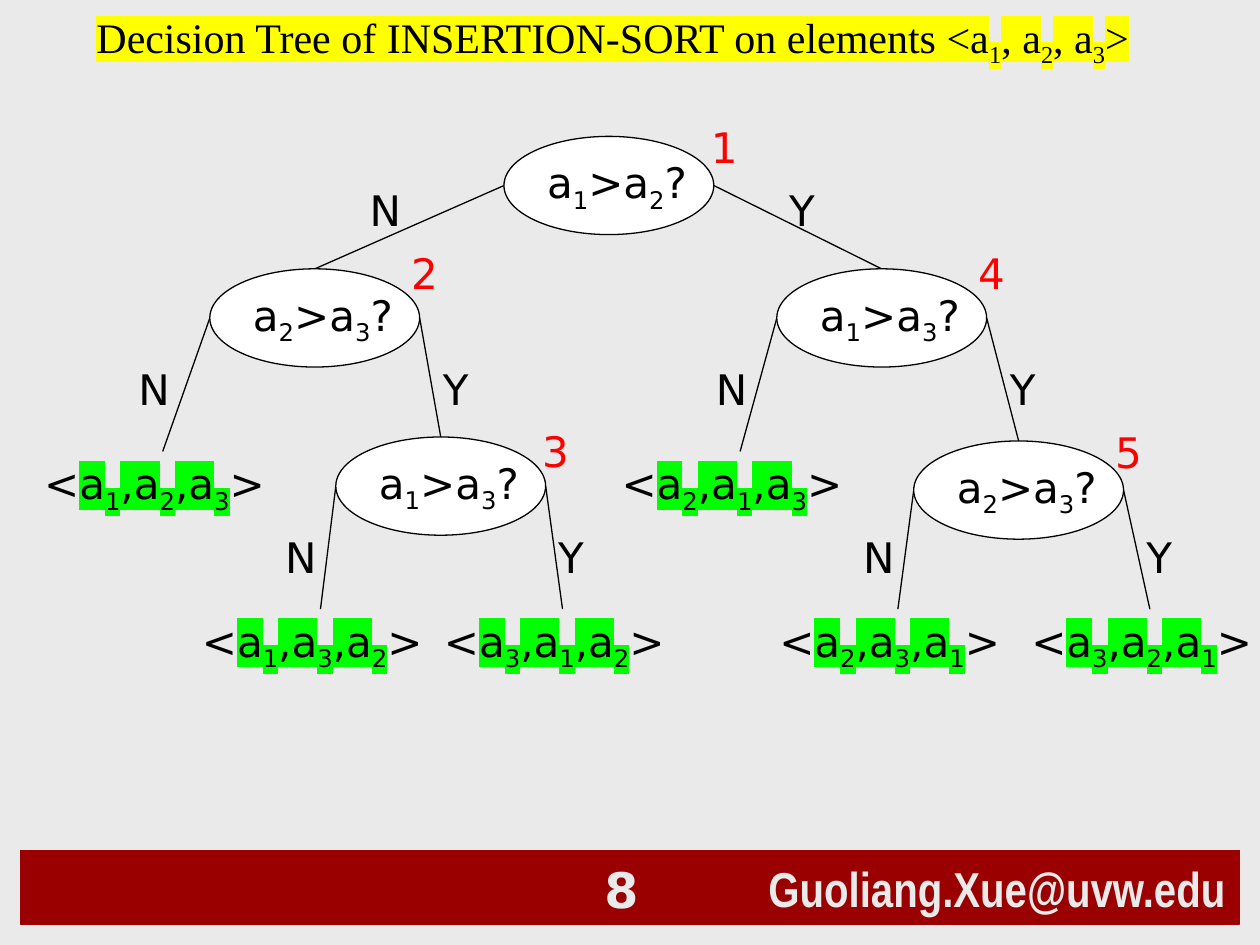
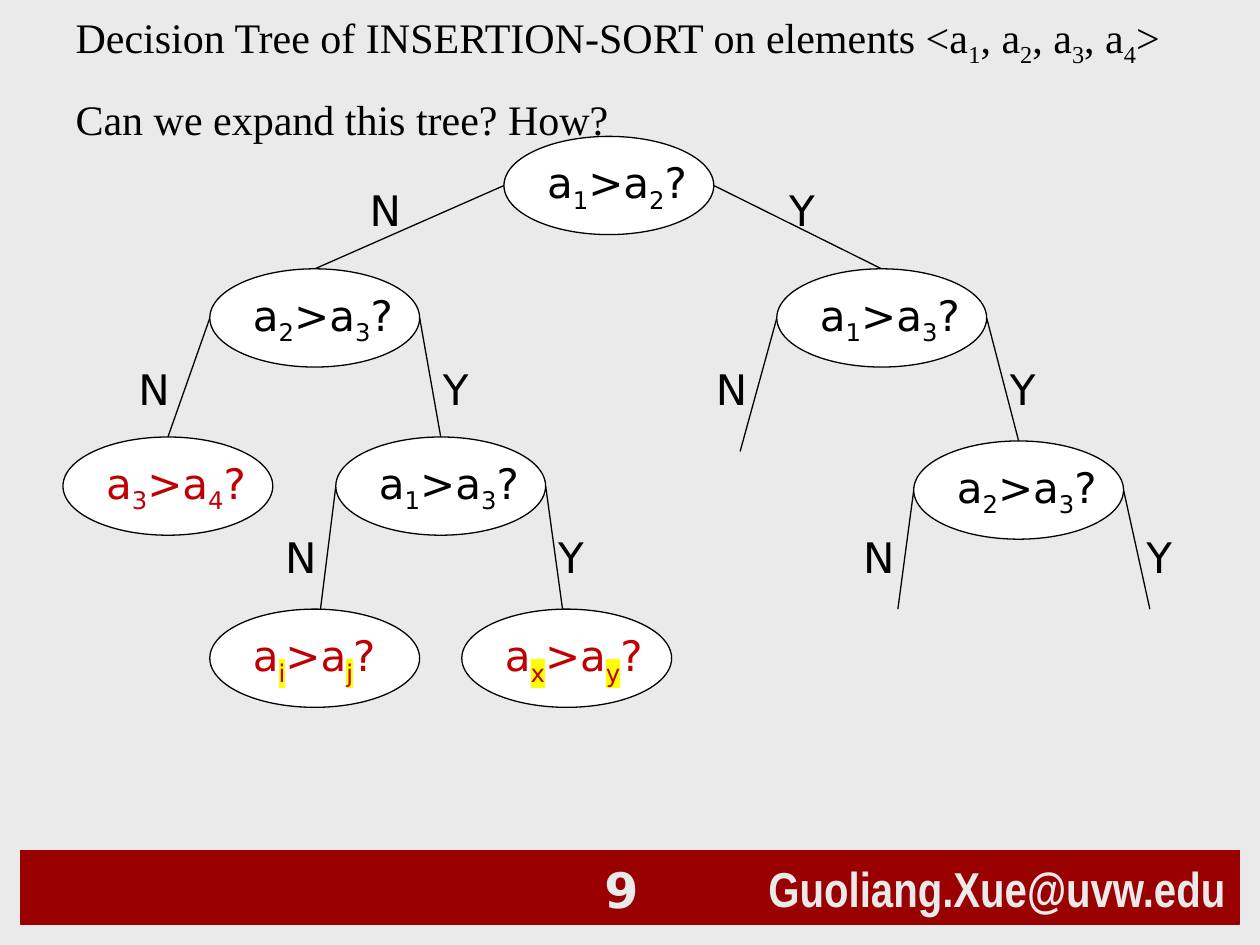
from collections import namedtuple

from lxml.etree import SubElement
from pptx import Presentation
from pptx.dml.color import RGBColor
from pptx.enum.shapes import MSO_CONNECTOR, MSO_SHAPE
from pptx.enum.text import MSO_ANCHOR as ANCHOR, MSO_AUTO_SIZE as AUTO, PP_ALIGN as ALIGN
from pptx.oxml import parse_xml
from pptx.oxml.ns import nsdecls, qn
from pptx.util import Cm, Pt

Box = namedtuple("Box", "left top width height")
Question = namedtuple("Question", "left top text step badge")
Branch = namedtuple("Branch", "parent answer label end")

PAPER, MAROON, WHITE, BLACK = "EAEAEA", "9A0000", "FFFFFF", "000000"
RED, DARK_RED, YELLOW, GREEN = "FF0000", "C00000", "FFFF00", "00FF00"
SANS, SERIF, NARROW = "DejaVu Sans", "Times New Roman", "Arial Narrow"

SLIDE = Box(0, 0, 25.4, 19.05)
BAND = Box(0.42, 17.15, 24.56, 1.48)
TREE = Box(0, 2.75, 25.4, 12)
NODE_W, NODE_H = 4.23, 1.98

# Places below are in cm from the corner of the tree's box.
QUESTIONS = {
    "root": Question(10.16, 0, "a_1>a_2?", "1", (3.92, -0.42)),
    "left": Question(4.23, 2.67, "a_2>a_3?", "2", (3.81, -0.55)),
    "left inner": Question(6.77, 6.06, "a_1>a_3?", "3", (3.91, -0.36)),
    "right": Question(15.66, 2.67, "a_1>a_3?", "4", (3.81, -0.55)),
    "right inner": Question(18.42, 6.14, "a_2>a_3?", "5", (3.81, -0.42)),
}
# A branch ends at a question or at the tip of an open line.
BRANCHES = [
    Branch("root", "N", (7.2, 0.85), "left"),
    Branch("root", "Y", (15.66, 0.85), "right"),
    Branch("left", "N", (2.54, 4.45), (3.28, 6.35)),
    Branch("left", "Y", (8.68, 4.45), "left inner"),
    Branch("left inner", "N", (5.5, 7.83), (6.46, 9.53)),
    Branch("left inner", "Y", (11, 7.83), (11.34, 9.53)),
    Branch("right", "N", (14.18, 4.45), (14.92, 6.35)),
    Branch("right", "Y", (20.11, 4.45), "right inner"),
    Branch("right inner", "N", (17.15, 7.83), (18.1, 9.53)),
    Branch("right inner", "Y", (22.86, 7.83), (23.18, 9.53)),
]
ORDERS = {
    ("left", "N"): "a_1,a_2,a_3",
    ("left inner", "N"): "a_1,a_3,a_2",
    ("left inner", "Y"): "a_3,a_1,a_2",
    ("right", "N"): "a_2,a_1,a_3",
    ("right inner", "N"): "a_2,a_3,a_1",
    ("right inner", "Y"): "a_3,a_2,a_1",
}
EXPANSIONS = [(1.27, 6.06, "a_3>a_4?", None),
              (4.23, 9.53, "a_i>a_j?", YELLOW),
              (9.31, 9.53, "a_x>a_y?", YELLOW)]


def rgb(color):
    return RGBColor.from_string(color)


def cm(box):
    return [Cm(v) for v in box]


def add_run(p, text, size=24, font=SANS, color=BLACK, bold=False, mark=None, sub=False):
    r = p.add_run()
    r.text = text
    r.font.size, r.font.name, r.font.bold = Pt(size), font, bold
    r.font.color.rgb = rgb(color)
    rPr = r.font._element
    if sub:
        rPr.set("baseline", "-25000")
    if mark:
        rPr.find(qn("a:solidFill")).addnext(parse_xml(
            f'<a:highlight {nsdecls("a")}><a:srgbClr val="{mark}"/></a:highlight>'))


def add_math(p, text, mark=None, sub_mark=None, **style):
    """Add text in which the character after each _ is a subscript."""
    first, *rest = text.split("_")
    add_run(p, first, mark=mark, **style)
    for part in rest:
        add_run(p, part[0], mark=sub_mark or mark, sub=True, **style)
        add_run(p, part[1:], mark=mark, **style)


def add_text(s, box):
    """Add a wrapping text box and return its first paragraph."""
    tf = s.shapes.add_textbox(*cm(box)).text_frame
    tf.word_wrap = True
    return tf.paragraphs[0]


def add_box(s, kind, box, fill, line):
    sp = s.shapes.add_shape(kind, *cm(box))
    sp.shadow.inherit = False
    sp.fill.solid()
    sp.fill.fore_color.rgb = rgb(fill)
    sp.line.color.rgb = rgb(line)
    sp.line.width = Pt(0.75)
    sp.text_frame.paragraphs[0].alignment = ALIGN.LEFT
    return sp


def add_line(s, x1, y1, x2, y2):
    line = s.shapes.add_connector(MSO_CONNECTOR.STRAIGHT, *cm((x1, y1, x2, y2)))
    line.line.color.rgb = rgb(BLACK)
    line.line.width = Pt(0.75)
    SubElement(line._element.spPr, qn("a:effectLst"))


def add_title(s, box, lines, mark=None):
    title = s.shapes.title
    title.left, title.top, title.width, title.height = cm(box)
    tf = title.text_frame
    tf.word_wrap, tf.auto_size, tf.vertical_anchor = True, AUTO.NONE, ANCHOR.TOP
    for i, line in enumerate(lines):
        p = tf.add_paragraph() if i else tf.paragraphs[0]
        p.alignment = ALIGN.LEFT
        p.space_before = Pt(14 if i else 0)
        add_math(p, line, mark=mark, font=SERIF)


def add_band(s, layout, box):
    """Put the footer band with the address on the layout."""
    band = add_box(s, MSO_SHAPE.RECTANGLE, box, MAROON, MAROON)
    address = add_box(s, MSO_SHAPE.RECTANGLE,
                      Box(box.left + 14.82, box.top, 9.74, box.height), MAROON, MAROON)
    add_run(address.text_frame.paragraphs[0], "Guoliang.Xue@uvw.edu", 28, NARROW, PAPER, True)
    for sp in (band, address):
        layout.shapes._spTree.append(sp._element)


def add_number(s, box, number):
    sp = add_box(s, MSO_SHAPE.RECTANGLE,
                 Box(box.left + 9.95, box.top, 2.75, box.height), MAROON, MAROON)
    sp.text_frame.vertical_anchor = ANCHOR.BOTTOM
    p = sp.text_frame.paragraphs[0]
    p.alignment = ALIGN.RIGHT
    add_run(p, str(number), 28, SANS, PAPER, True)


def add_node(s, box, left, top, text, **style):
    sp = add_box(s, MSO_SHAPE.OVAL,
                 Box(box.left + left, box.top + top, NODE_W, NODE_H), WHITE, BLACK)
    sp.text_frame.word_wrap = False
    add_math(sp.text_frame.paragraphs[0], text, **style)


def add_leaf(s, box, tip, order):
    x, y = tip
    p = add_text(s, Box(box.left + x - 2.64, box.top + y, 4.85, 1.27))
    p._parent.margin_right = 0
    add_run(p, "<")
    add_math(p, order, mark=GREEN)
    add_run(p, ">")


def add_tree(s, box, ends):
    """Draw the branches and the questions; ends replaces the end of some branches."""
    for branch in BRANCHES:
        parent = QUESTIONS[branch.parent]
        end = ends.get((branch.parent, branch.answer), branch.end)
        if end in QUESTIONS:
            end = QUESTIONS[end].left + NODE_W / 2, QUESTIONS[end].top
        start_x = parent.left + (NODE_W if branch.answer == "Y" else 0)
        add_line(s, box.left + start_x, box.top + parent.top + NODE_H / 2,
                 box.left + end[0], box.top + end[1])
        x, y = branch.label
        add_run(add_text(s, Box(box.left + x, box.top + y, 1.69, 1.27)), branch.answer)
    for q in QUESTIONS.values():
        add_node(s, box, q.left, q.top, q.text)


def three_element_slide(s):
    add_title(s, Box(1.69, 0.1, 21.59, 1.27),
              ["Decision Tree of INSERTION-SORT on elements <a_1, a_2, a_3>"], YELLOW)
    add_tree(s, TREE, {})
    for q in QUESTIONS.values():
        dx, dy = q.badge
        p = add_text(s, Box(TREE.left + q.left + dx, TREE.top + q.top + dy, 0.95, 1.27))
        add_run(p, q.step, color=RED)
    for branch in BRANCHES:
        order = ORDERS.get((branch.parent, branch.answer))
        if order:
            add_leaf(s, TREE, branch.end, order)


def four_element_slide(s):
    add_title(s, Box(1.27, 0.1, 23.07, 2.82),
              ["Decision Tree of INSERTION-SORT on elements <a_1, a_2, a_3, a_4>",
               "Can we expand this tree? How?"])
    left, top = EXPANSIONS[0][:2]
    add_tree(s, TREE, {("left", "N"): (left + NODE_W / 2, top)})
    for left, top, text, sub_mark in EXPANSIONS:
        add_node(s, TREE, left, top, text, color=DARK_RED, sub_mark=sub_mark)


def main():
    prs = Presentation()
    prs.slide_width, prs.slide_height = Cm(SLIDE.width), Cm(SLIDE.height)
    fill = prs.slide_master.background.fill
    fill.solid()
    fill.fore_color.rgb = rgb(PAPER)
    layout = prs.slide_layouts[5]
    for number, build in enumerate((three_element_slide, four_element_slide), 8):
        s = prs.slides.add_slide(layout)
        if number == 8:
            add_band(s, layout, BAND)
        add_number(s, BAND, number)
        build(s)
    prs.save("out.pptx")


if __name__ == "__main__":
    main()
